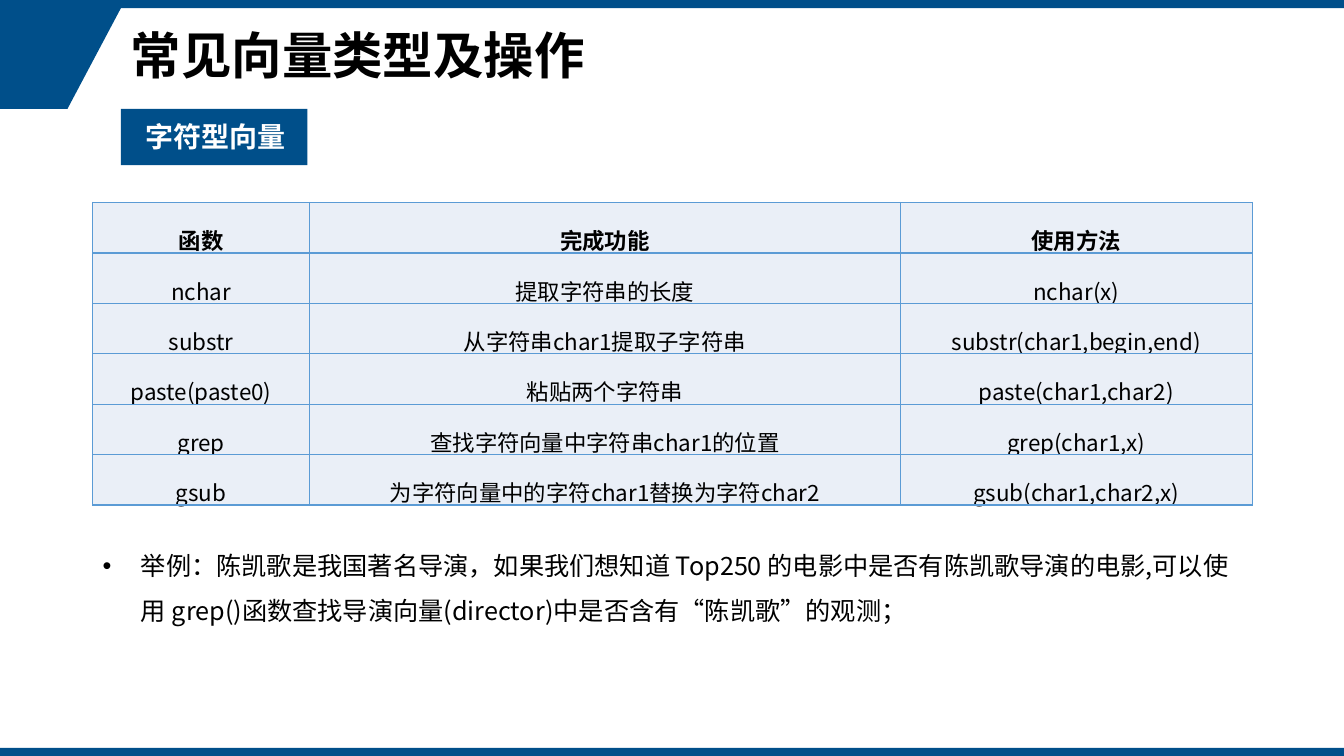
from lxml.etree import SubElement
from pptx import Presentation
from pptx.dml.color import RGBColor
from pptx.enum.shapes import MSO_SHAPE
from pptx.enum.text import MSO_ANCHOR, PP_ALIGN
from pptx.oxml.ns import qn
from pptx.util import Inches, Pt

FONT = "Noto Sans CJK SC"
COLORS = {"blue": "004F8A", "black": "000000", "white": "FFFFFF",
          "cell": "EAEFF7", "border": "5B9BD5"}
SLIDE_W, SLIDE_H = 13.33, 7.5
BAND = 0.08
COL_WIDTHS = [2.15, 5.86, 3.49]
ROW_H = 0.5
FUNCTIONS = [
    ("函数", "完成功能", "使用方法"),
    ("nchar", "提取字符串的长度", "nchar(x)"),
    ("substr", "从字符串char1提取子字符串", "substr(char1,begin,end)"),
    ("paste(paste0)", "粘贴两个字符串", "paste(char1,char2)"),
    ("grep", "查找字符向量中字符串char1的位置", "grep(char1,x)"),
    ("gsub", "为字符向量中的字符char1替换为字符char2", "gsub(char1,char2,x)"),
]
EXAMPLE = ("举例：陈凯歌是我国著名导演，如果我们想知道 Top250 的电影中是否有陈凯歌导演的电影,"
           "可以使用 grep()函数查找导演向量(director)中是否含有“陈凯歌”的观测；")


def rgb(name):
    return RGBColor.from_string(COLORS[name])


def write(tf, text, size=16, color="black", bold=False, align=PP_ALIGN.LEFT,
          spacing=1.0, bullet_indent=None):
    p = tf.paragraphs[0]
    p.alignment = align
    p.line_spacing = spacing
    if bullet_indent:
        pPr = p._p.get_or_add_pPr()
        pPr.set("marL", str(Inches(bullet_indent)))
        pPr.set("indent", str(-Inches(bullet_indent)))
        SubElement(pPr, qn("a:buFont"), typeface="Arial")
        SubElement(pPr, qn("a:buChar"), char="•")
    r = p.add_run()
    r.text = text
    r.font.size = Pt(size)
    r.font.bold = bold
    r.font.color.rgb = rgb(color)
    r.font.name = FONT
    SubElement(r._r.get_or_add_rPr(), qn("a:ea"), typeface=FONT)


def add_text(s, x, y, w, h, text, wrap=True, anchor=MSO_ANCHOR.TOP, **fmt):
    tf = s.shapes.add_textbox(Inches(x), Inches(y), Inches(w), Inches(h)).text_frame
    tf.word_wrap = wrap
    tf.vertical_anchor = anchor
    write(tf, text, **fmt)


def paint(sp):
    sp.shadow.inherit = False
    sp.fill.solid()
    sp.fill.fore_color.rgb = rgb("blue")
    sp.line.fill.background()


def add_rect(s, x, y, w, h):
    paint(s.shapes.add_shape(MSO_SHAPE.RECTANGLE, Inches(x), Inches(y),
                             Inches(w), Inches(h)))


def add_corner(s, points):
    start, *rest = [(Inches(x), Inches(y)) for x, y in points]
    builder = s.shapes.build_freeform(*start)
    builder.add_line_segments(rest, close=True)
    paint(builder.convert_to_shape())


def style_cell(cell):
    tcPr = cell._tc.get_or_add_tcPr()
    for side in ("lnL", "lnR", "lnT", "lnB"):
        ln = SubElement(tcPr, qn(f"a:{side}"), w=str(Pt(1)))
        fill = SubElement(ln, qn("a:solidFill"))
        SubElement(fill, qn("a:srgbClr"), val=COLORS["border"])
    cell.fill.solid()
    cell.fill.fore_color.rgb = rgb("cell")
    cell.margin_left = cell.margin_right = Inches(0.07)
    cell.margin_top = cell.margin_bottom = Inches(0.05)


def add_function_table(s, x, y):
    table = s.shapes.add_table(
        len(FUNCTIONS), len(COL_WIDTHS), Inches(x), Inches(y),
        Inches(sum(COL_WIDTHS)), Inches(ROW_H * len(FUNCTIONS))).table
    table.first_row = table.horz_banding = False
    for column, width in zip(table.columns, COL_WIDTHS):
        column.width = Inches(width)
    for i, row in enumerate(FUNCTIONS):
        table.rows[i].height = Inches(ROW_H)
        for j, text in enumerate(row):
            cell = table.cell(i, j)
            style_cell(cell)
            write(cell.text_frame, text, bold=i == 0,
                  align=PP_ALIGN.CENTER, spacing=1.5)


def main():
    prs = Presentation()
    prs.slide_width, prs.slide_height = Inches(SLIDE_W), Inches(SLIDE_H)
    s = prs.slides.add_slide(prs.slide_layouts[6])

    # Corner and edge bands
    add_corner(s, [(0, BAND), (1.2, BAND), (0.67, 1.08), (0, 1.08)])
    for y in (0, SLIDE_H - BAND):
        add_rect(s, 0, y, SLIDE_W, BAND)

    # Title and section label
    add_text(s, 1.2, 0.08, 11.22, 1, "常见向量类型及操作", size=36, bold=True,
             spacing=0.9, anchor=MSO_ANCHOR.MIDDLE)
    add_rect(s, 1.2, 1.08, 1.85, 0.56)
    add_text(s, 1.34, 1.14, 1.65, 0.44, "字符型向量", wrap=False, size=20,
             color="white", bold=True)

    # Function table and example
    add_function_table(s, 0.92, 2.01)
    add_text(s, 0.92, 5.26, 11.5, 0.96, EXAMPLE, size=18, spacing=1.5,
             bullet_indent=0.38)
    prs.save("out.pptx")


if __name__ == "__main__":
    main()
